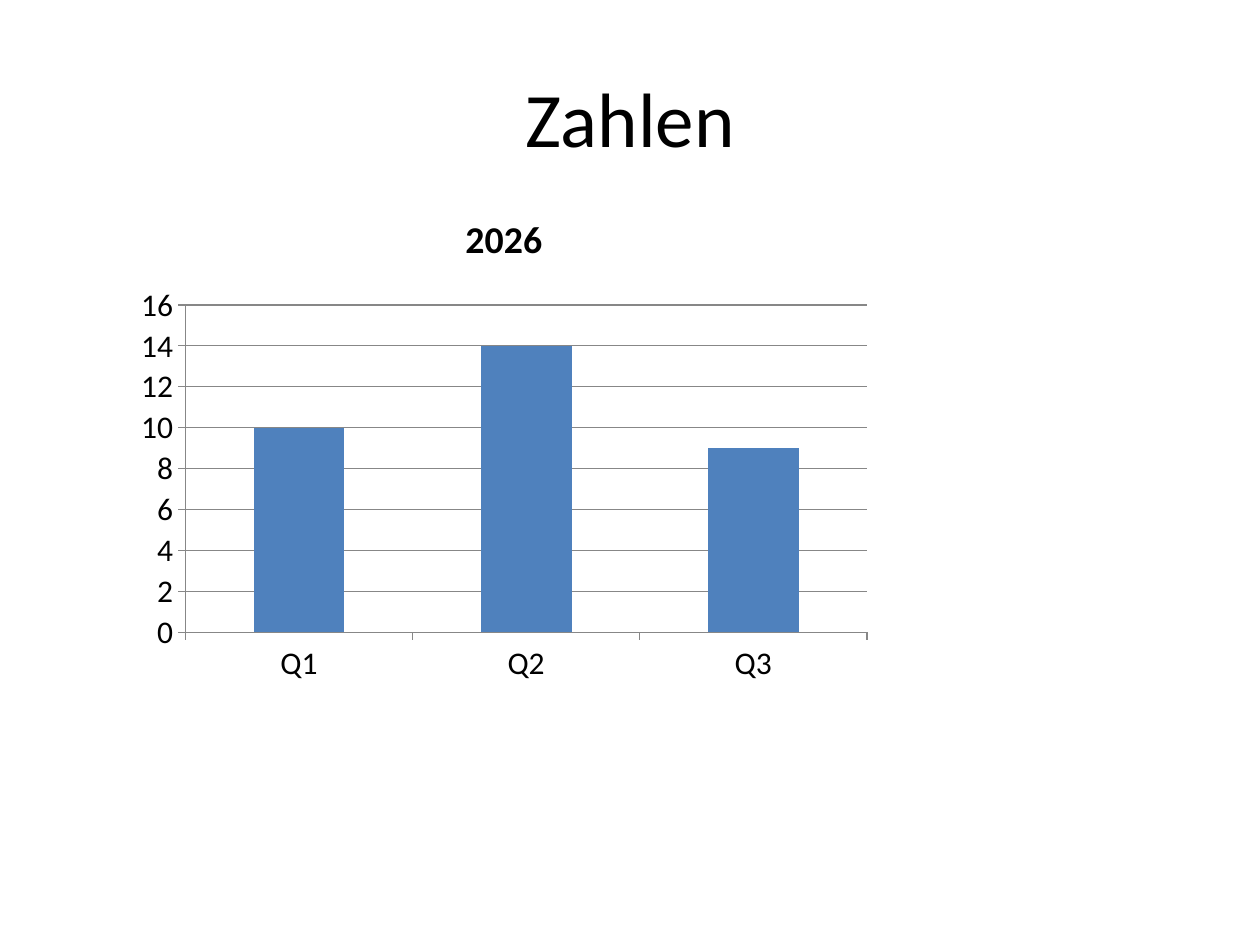
from dataclasses import dataclass

from pptx import Presentation
from pptx.chart.data import CategoryChartData as ChartData
from pptx.dml.color import RGBColor as Color
from pptx.enum.chart import XL_CHART_TYPE as Kind, XL_TICK_MARK as Tick
from pptx.enum.text import MSO_ANCHOR as Anchor, PP_ALIGN as Align
from pptx.util import Inches, Pt


@dataclass(frozen=True)
class Theme:
    face: str = "Calibri"
    ink: Color = Color(0x00, 0x00, 0x00)
    rule: Color = Color(0x87, 0x87, 0x87)
    bar: Color = Color(0x4F, 0x81, 0xBD)
    head: float = 44
    label: float = 21.6
    tick: float = 18
    line: float = 0.75


THEME = Theme()


def style(font, size, bold=False):
    font.name = THEME.face
    font.size = Pt(size)
    font.bold = bold
    font.color.rgb = THEME.ink


def draw(line):
    line.color.rgb = THEME.rule
    line.width = Pt(THEME.line)


def set_title(slide, text):
    title = slide.shapes.title
    title.left, title.top = Inches(0.5), Inches(0.3)
    title.width, title.height = Inches(9), Inches(1.25)
    frame = title.text_frame
    frame.text = text
    frame.vertical_anchor = Anchor.MIDDLE
    para = frame.paragraphs[0]
    para.alignment = Align.CENTER
    style(para.runs[0].font, THEME.head)


def set_axis(axis):
    axis.major_tick_mark = Tick.OUTSIDE
    axis.minor_tick_mark = Tick.NONE
    style(axis.tick_labels.font, THEME.tick)
    draw(axis.format.line)


def add_bars(slide, name, cats, vals):
    data = ChartData()
    data.categories = cats
    data.add_series(name, vals)
    chart = slide.shapes.add_chart(
        Kind.COLUMN_CLUSTERED, Inches(1), Inches(1.5), Inches(6), Inches(4), data
    ).chart
    style(chart.font, THEME.tick)
    chart.has_legend = False

    # Chart title
    chart.has_title = True
    frame = chart.chart_title.text_frame
    frame.text = name
    style(frame.paragraphs[0].runs[0].font, THEME.label, bold=True)
    chart.chart_title.include_in_layout = False

    # Axes and grid
    for axis in (chart.category_axis, chart.value_axis):
        set_axis(axis)
    scale = chart.value_axis
    scale.minimum_scale, scale.maximum_scale, scale.major_unit = 0, 16, 2
    scale.has_major_gridlines = True
    draw(scale.major_gridlines.format.line)

    # Bars
    plot = chart.plots[0]
    plot.gap_width = 150
    plot.vary_by_categories = False
    fill = plot.series[0].format.fill
    fill.solid()
    fill.fore_color.rgb = THEME.bar


def main():
    deck = Presentation()
    deck.slide_width, deck.slide_height = Inches(10), Inches(7.5)
    slide = deck.slides.add_slide(deck.slide_layouts[5])
    set_title(slide, "Zahlen")
    add_bars(slide, "2026", ["Q1", "Q2", "Q3"], [10, 14, 9])
    deck.save("out.pptx")


if __name__ == "__main__":
    main()
